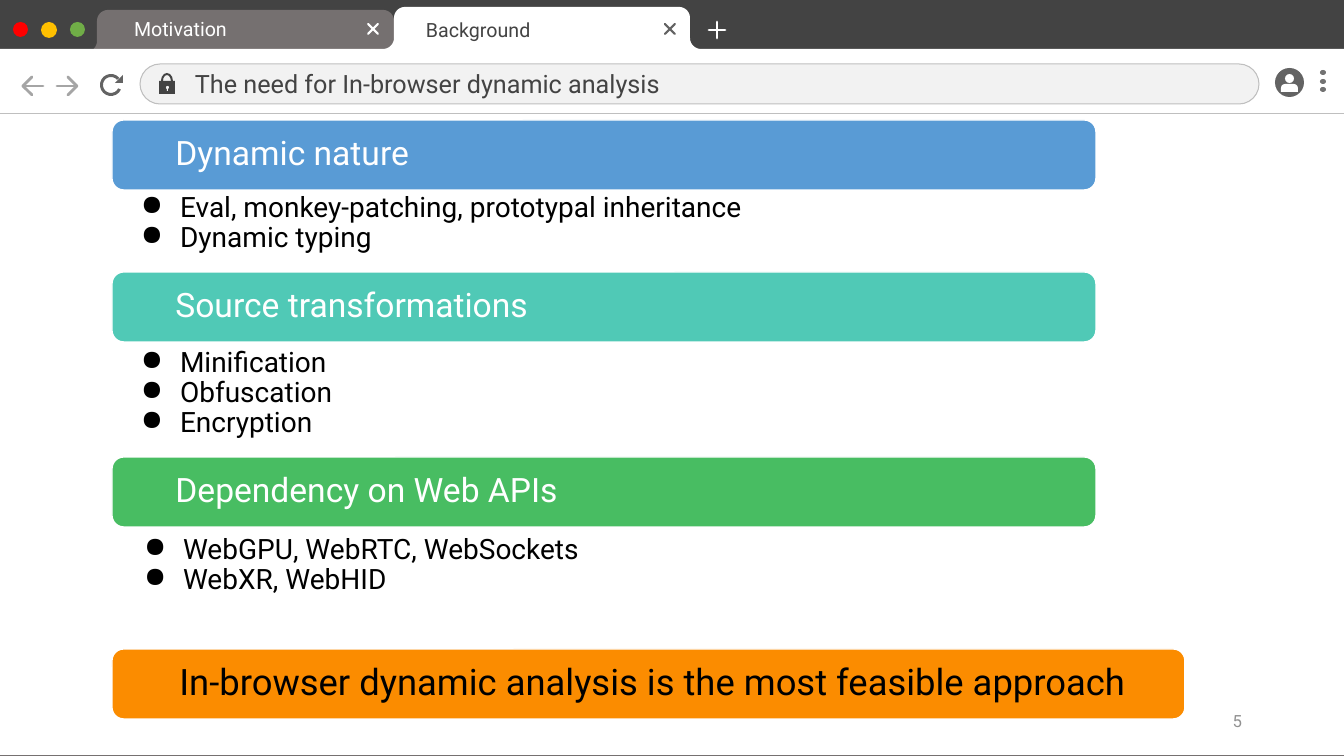
import math
from lxml import etree
from pptx import Presentation
from pptx import util as u
from pptx.dml.color import RGBColor
from pptx.enum import shapes, text
from pptx.oxml.ns import qn

PX = 12192000 / 1344  # slide is 1344 x 756 px
WHITE = RGBColor(0xFF, 0xFF, 0xFF)
BLACK = RGBColor(0x00, 0x00, 0x00)
CHARCOAL = RGBColor(0x43, 0x43, 0x43)
TAB_GREY = RGBColor(0x75, 0x70, 0x70)
ICON_GREY = RGBColor(0x63, 0x63, 0x63)
DOT_GREY = RGBColor(0x72, 0x72, 0x72)
ARROW_GREY = RGBColor(0xA5, 0xA5, 0xA5)
RULE_GREY = RGBColor(0xBF, 0xBF, 0xBF)
BAR_GREY = RGBColor(0xF2, 0xF2, 0xF2)
NUMBER_GREY = RGBColor(0x91, 0x91, 0x91)
RED = RGBColor(0xFF, 0x00, 0x00)
YELLOW = RGBColor(0xFF, 0xC0, 0x00)
LEAF = RGBColor(0x70, 0xAD, 0x47)
BLUE = RGBColor(0x59, 0x9B, 0xD5)
TEAL = RGBColor(0x50, 0xC9, 0xB6)
GREEN = RGBColor(0x48, 0xBD, 0x62)
ORANGE = RGBColor(0xFB, 0x8C, 0x00)
TOP, MIDDLE = text.MSO_ANCHOR.TOP, text.MSO_ANCHOR.MIDDLE
KIND = shapes.MSO_SHAPE

prs = Presentation()
prs.slide_width, prs.slide_height = round(1344 * PX), round(756 * PX)
slide = prs.slides.add_slide(prs.slide_layouts[6])
slide.background.fill.solid()
slide.background.fill.fore_color.rgb = CHARCOAL


def arc(cx, cy, radius, start, end):
    """Points along an arc; degrees run clockwise from the right."""
    angles = [math.radians(start + (end - start) * i / 16) for i in range(17)]
    return [(cx + radius * math.cos(a), cy + radius * math.sin(a)) for a in angles]


def write(shape, lines, size, colour, margins, anchor=TOP, spacing=1.0):
    frame = shape.text_frame
    frame.text = "\n".join(lines)
    frame.word_wrap = True
    frame.vertical_anchor = anchor
    (frame.margin_left, frame.margin_top,
     frame.margin_right, frame.margin_bottom) = [round(m * PX) for m in margins]
    for paragraph in frame.paragraphs:
        paragraph.alignment = text.PP_ALIGN.LEFT
        paragraph.line_spacing = spacing
        for run in paragraph.runs:
            run.font.name = "Roboto"
            run.font.size = u.Pt(size)
            run.font.color.rgb = colour
    return frame


# Browser tabs with their windows, and the reload icon
outlines = []
for left, right, top, base, bottom, fill in [
        (97, 394, 10, 52, 756, TAB_GREY), (394, 690, 7, 49, 755, WHITE)]:
    corner = 11
    outlines.append((
        [(0, base)]
        + arc(left - corner, base - corner, corner, 90, 0)
        + arc(left + corner, top + corner, corner, 180, 270)
        + arc(right - corner, top + corner, corner, 270, 360)
        + arc(right + corner, base - corner, corner, 180, 90)
        + [(1344, base), (1344, bottom), (0, bottom)], fill))
outlines.append((arc(111, 85, 11, 25, 320) + arc(111, 85, 8, 320, 25), ICON_GREY))
outlines.append(([(123, 75), (123, 83), (115, 83)], ICON_GREY))
for points, fill in outlines:
    start, *rest = [(round(x * PX), round(y * PX)) for x, y in points]
    builder = slide.shapes.build_freeform(*start, scale=1.0)
    builder.add_line_segments(rest, close=True)
    outline = builder.convert_to_shape()
    outline.shadow.inherit = False
    outline.fill.solid()
    outline.fill.fore_color.rgb = fill
    outline.line.fill.background()

# Window buttons, address bar, lock, account, menu and the four cards
parts = [
    (KIND.OVAL, 13, 22, 15, 15, RED, None, {}),
    (KIND.OVAL, 41, 22, 16, 16, YELLOW, None, {}),
    (KIND.OVAL, 70, 22, 15, 15, LEAF, None, {}),
    (KIND.ROUNDED_RECTANGLE, 140, 64, 1119, 40, BAR_GREY, RULE_GREY, {0: 0.5}),
    (KIND.BLOCK_ARC, 161, 73, 12, 16, CHARCOAL, None, {2: 0.17}),
    (KIND.RECTANGLE, 159, 81, 16, 13, CHARCOAL, None, {}),
    (KIND.OVAL, 166, 86, 3, 3, BAR_GREY, None, {}),
    (KIND.RECTANGLE, 167, 88, 1, 3, BAR_GREY, None, {}),
    (KIND.OVAL, 1275, 68, 29, 29, ICON_GREY, None, {}),
    (KIND.OVAL, 1285, 74, 9, 9, WHITE, None, {}),
    (KIND.ROUND_2_SAME_RECTANGLE, 1281, 84, 17, 8, WHITE, None, {0: 0.5}),
]
parts += [(KIND.OVAL, 1320, y, 6, 5, DOT_GREY, None, {}) for y in (70, 79, 87)]
cards = [
    ("Dynamic nature", 120, 984, 60, 24, WHITE, BLUE),
    ("Source transformations", 272, 984, 60, 24, WHITE, TEAL),
    ("Dependency on Web APIs", 457, 984, 60, 24, WHITE, GREEN),
    ("In-browser dynamic analysis is the most feasible approach",
     649, 1073, 64, 26, BLACK, ORANGE),
]
parts += [(KIND.ROUNDED_RECTANGLE, 112, y, width, 70, fill, WHITE, {0: 0.167})
          for _, y, width, _, _, _, fill in cards]
drawn = []
for kind, x, y, width, height, fill, edge, adjustments in parts:
    part = slide.shapes.add_shape(kind, *[round(n * PX) for n in (x, y, width, height)])
    part.shadow.inherit = False
    part.fill.solid()
    part.fill.fore_color.rgb = fill
    if edge is None:
        part.line.fill.background()
    else:
        part.line.color.rgb = edge
        part.line.width = u.Pt(0.75)
    for index, value in adjustments.items():
        part.adjustments[index] = value
    drawn.append(part)
for card, (title, _, _, indent, size, colour, _) in zip(drawn[-len(cards):], cards):
    card.line.width = u.Pt(1)
    write(card, [title], size, colour, (indent, 10, 10, 10), MIDDLE, 0.9)

# Toolbar rule, tab crosses, new-tab plus, and back and forward arrows
strokes = [(0, 114, 1344, 114, RULE_GREY, 0.75),
           (709, 30, 725, 30, WHITE, 2), (717, 22, 717, 38, WHITE, 2)]
for x, y, colour in [(373, 29, WHITE), (670, 29, ICON_GREY)]:
    strokes += [(x - 5, y - 5 * way, x + 5, y + 5 * way, colour, 1.5) for way in (1, -1)]
for tip, way in [(23, 1), (77, -1)]:
    strokes += [(tip, 86, tip + reach * way, 86 + rise, ARROW_GREY, 2)
                for reach, rise in [(20, 0), (9, -9), (9, 9)]]
for x1, y1, x2, y2, colour, weight in strokes:
    stroke = slide.shapes.add_connector(
        shapes.MSO_CONNECTOR.STRAIGHT, *[round(n * PX) for n in (x1, y1, x2, y2)])
    stroke.line.color.rgb = colour
    stroke.line.width = u.Pt(weight)
    properties = stroke._element.spPr
    properties.find(qn("a:ln")).set("cap", "rnd")
    etree.SubElement(properties, qn("a:effectLst"))

# Tab names, address and page number
for words, x, y, width, height, size, colour, anchor, align in [
        ("Motivation", 124, 12, 228, 34, 14, WHITE, TOP, "LEFT"),
        ("Background", 416, 13, 220, 34, 14, CHARCOAL, TOP, "LEFT"),
        ("The need for In-browser dynamic analysis",
         185, 67, 1058, 33, 18, CHARCOAL, MIDDLE, "LEFT"),
        ("5", 950, 701, 302, 40, 12, NUMBER_GREY, MIDDLE, "RIGHT")]:
    label = slide.shapes.add_textbox(*[round(n * PX) for n in (x, y, width, height)])
    frame = write(label, [words], size, colour, (10, 5, 10, 5), anchor)
    frame.paragraphs[0].alignment = text.PP_ALIGN[align]

# Bullet lists under the cards
for x, y, height, points in [
        (112, 190, 63, ["Eval, monkey-patching, prototypal inheritance", "Dynamic typing"]),
        (112, 345, 99, ["Minification", "Obfuscation", "Encryption"]),
        (115, 532, 68, ["WebGPU, WebRTC, WebSockets", "WebXR, WebHID"])]:
    bullets = slide.shapes.add_textbox(*[round(n * PX) for n in (x, y, 984, height)])
    frame = write(bullets, points, 20, BLACK, (18, 3, 14, 3), spacing=0.9)
    for paragraph in frame.paragraphs:
        style = paragraph._p.get_or_add_pPr()
        style.set("marL", str(round(50 * PX)))
        style.set("indent", str(round(-39 * PX)))
        tint = etree.SubElement(style, qn("a:buClr"))
        etree.SubElement(tint, qn("a:srgbClr"), val=str(BLACK))
        etree.SubElement(style, qn("a:buChar"), char="●")

prs.save("out.pptx")
